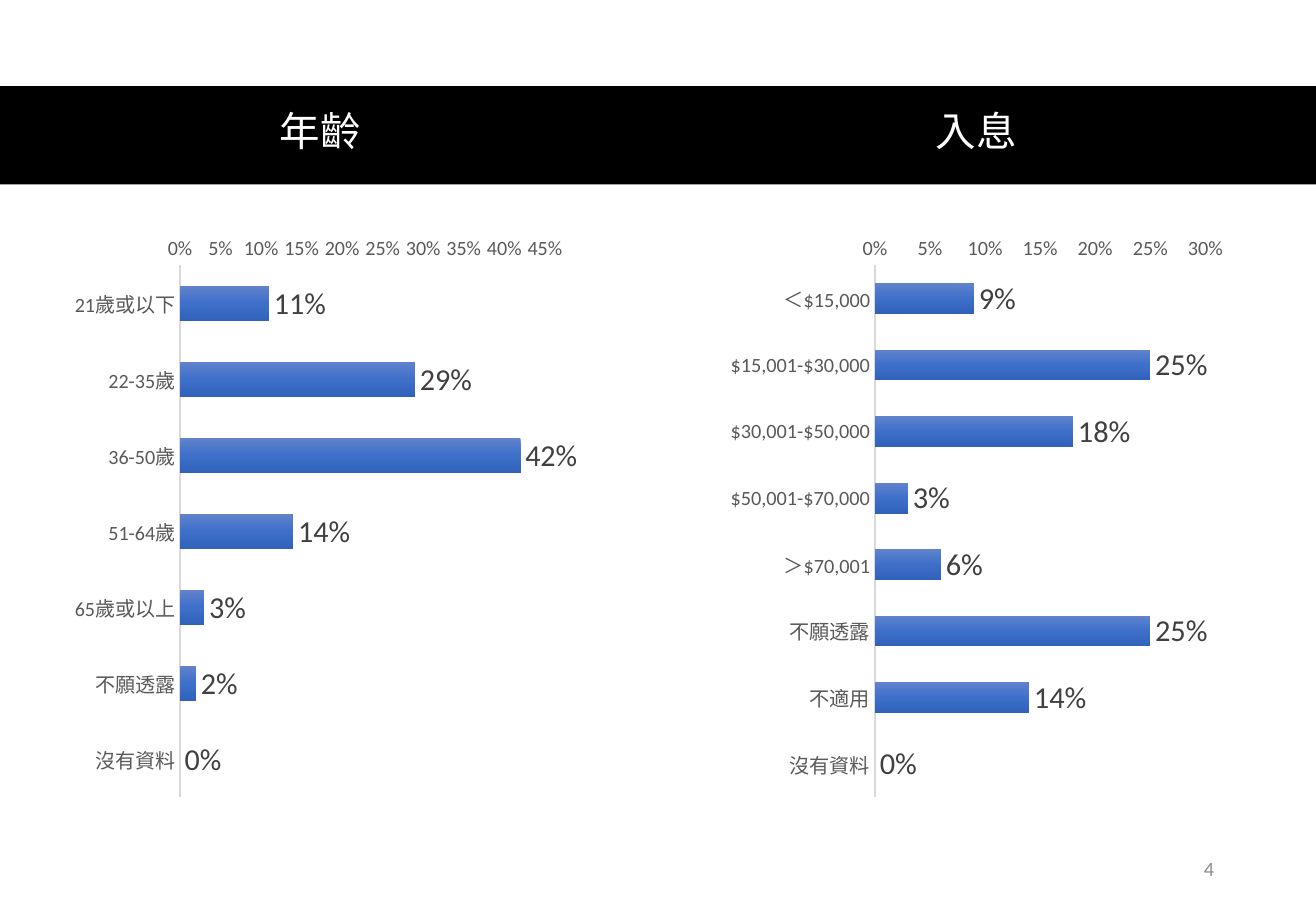
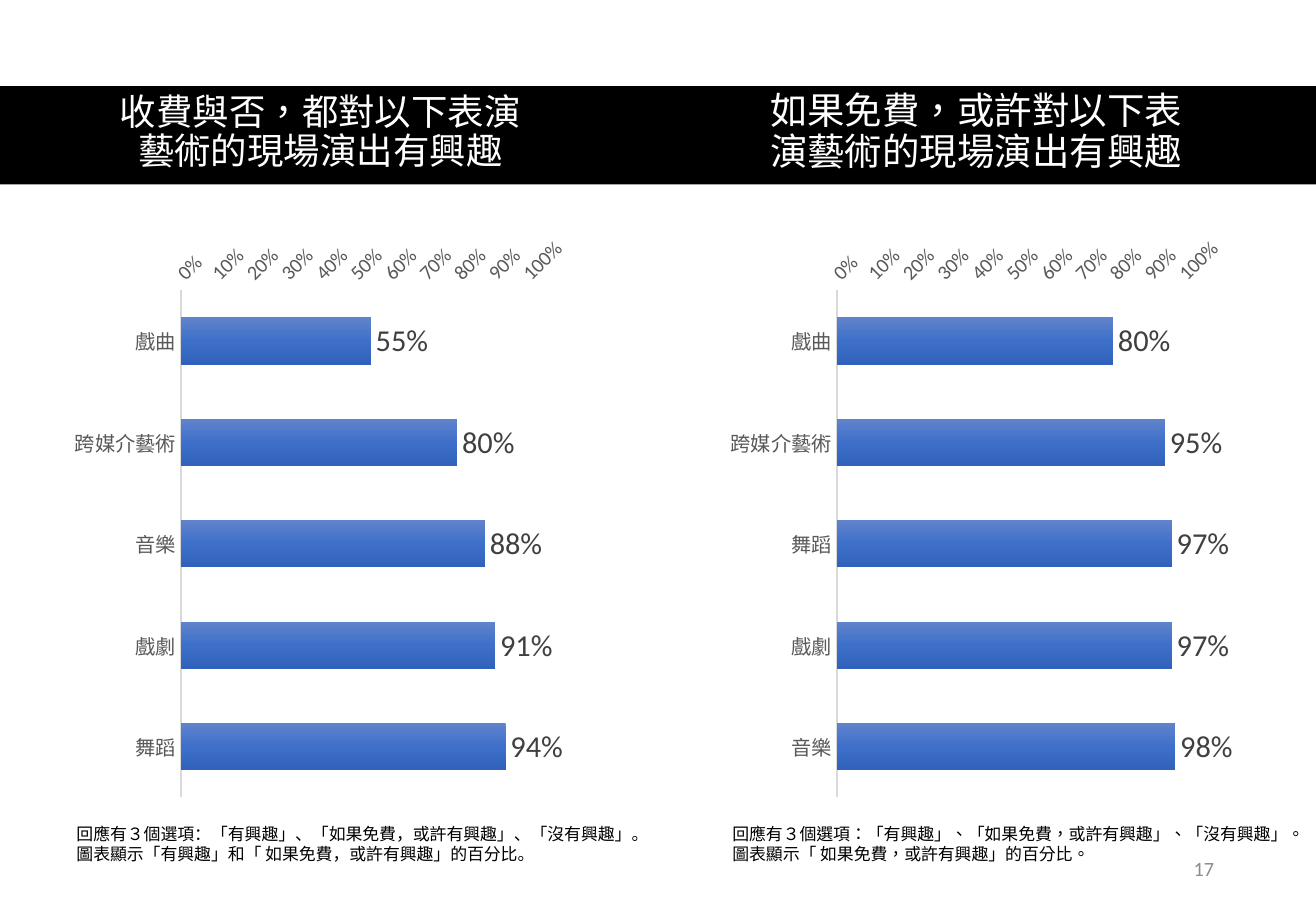
from copy import deepcopy

from pptx import Presentation
from pptx.chart.data import CategoryChartData
from pptx.dml.color import RGBColor
from pptx.enum.chart import XL_CHART_TYPE as ChartType
from pptx.enum.chart import XL_LABEL_POSITION as LabelPosition
from pptx.enum.chart import XL_TICK_MARK as TickMark
from pptx.enum.lang import MSO_LANGUAGE_ID as Language
from pptx.enum.shapes import MSO_SHAPE as Shape
from pptx.enum.text import MSO_ANCHOR as Anchor
from pptx.enum.text import MSO_AUTO_SIZE as AutoSize
from pptx.enum.text import PP_ALIGN as Align
from pptx.oxml.ns import qn
from pptx.util import Cm, Pt

SLIDES = [
    {
        "number": "4",
        "axis_unit": 0.05,
        "axis_angle": 0,
        "panels": [
            {
                "heading": "年齡",
                "heading_size": 24,
                "axis_maximum": 0.45,
                "values": {
                    "21歲或以下": 0.11,
                    "22-35歲": 0.29,
                    "36-50歲": 0.42,
                    "51-64歲": 0.14,
                    "65歲或以上": 0.03,
                    "不願透露": 0.02,
                    "沒有資料": 0,
                },
            },
            {
                "heading": "入息",
                "heading_size": 24,
                "axis_maximum": 0.3,
                "values": {
                    "＜$15,000": 0.09,
                    "$15,001-$30,000": 0.25,
                    "$30,001-$50,000": 0.18,
                    "$50,001-$70,000": 0.03,
                    "＞$70,001": 0.06,
                    "不願透露": 0.25,
                    "不適用": 0.14,
                    "沒有資料": 0,
                },
            },
        ],
    },
    {
        "number": "17",
        "axis_unit": 0.1,
        "axis_angle": -45,
        "panels": [
            {
                "heading": "收費與否，都對以下表演藝術的現場演出有興趣",
                "heading_size": 21.6,
                "axis_maximum": 1,
                "values": {"戲曲": 0.55, "跨媒介藝術": 0.8, "音樂": 0.88, "戲劇": 0.91, "舞蹈": 0.94},
                "note": "圖表顯示「有興趣」和「 如果免費，或許有興趣」的百分比。",
                "note_language": Language.SIMPLIFIED_CHINESE,
            },
            {
                "heading": "如果免費，或許對以下表演藝術的現場演出有興趣",
                "heading_size": 22.2,
                "axis_maximum": 1,
                "values": {"戲曲": 0.8, "跨媒介藝術": 0.95, "舞蹈": 0.97, "戲劇": 0.97, "音樂": 0.98},
                "note": "圖表顯示「 如果免費，或許有興趣」的百分比。",
                "note_language": Language.TRADITIONAL_CHINESE,
            },
        ],
    },
]
NOTE_INTRO = "回應有３個選項：「有興趣」、「如果免費，或許有興趣」、「沒有興趣」。"

SLIDE_WIDTH, SLIDE_HEIGHT = 27.51, 19.05
PANEL_LEFT, PANEL_STEP = 1.35, 13.71
HEADING_OFFSET = 0.62
BAND_BOX = (0, 1.8, SLIDE_WIDTH, 2.06)
NUMBER_BOX = (19.43, 17.65, 6.2, 1.02)
BAR_GRADIENT = [(0, "6183CB"), (0.5, "3E70CA"), (1, "3062BB")]

HEADING_FONT = {"name": "Arial", "color": "FFFFFF", "bold": False, "language_id": Language.TRADITIONAL_CHINESE}
NOTE_FONT = {"name": "Noto Sans CJK SC", "size": Pt(10), "color": "000000"}
NUMBER_FONT = {"name": "Calibri", "size": Pt(12), "color": "8C8C8C"}
CHART_FONT = {"name": "Calibri", "size": Pt(10), "color": "000000"}
AXIS_FONT = {"name": "Calibri", "size": Pt(12), "color": "595959"}
LABEL_FONT = {"name": "Calibri", "size": Pt(18), "color": "404040"}
HEADING_FRAME = {"word_wrap": True, "auto_size": AutoSize.NONE, "vertical_anchor": Anchor.MIDDLE}
NOTE_FRAME = {"word_wrap": False, "auto_size": AutoSize.SHAPE_TO_FIT_TEXT}
HEADING_PARAGRAPH = {"alignment": Align.CENTER, "line_spacing": 0.9}

CATEGORY_AXIS = {
    "reverse_order": True,
    "has_major_gridlines": False,
    "major_tick_mark": TickMark.NONE,
    "minor_tick_mark": TickMark.NONE,
}
VALUE_AXIS = {
    "minimum_scale": 0,
    "has_major_gridlines": False,
    "major_tick_mark": TickMark.NONE,
    "minor_tick_mark": TickMark.NONE,
}
DATA_LABELS = {
    "show_value": True,
    "number_format": "0%",
    "number_format_is_linked": False,
    "position": LabelPosition.OUTSIDE_END,
}


def color(value):
    return RGBColor.from_string(value)


def box(*lengths):
    return [Cm(length) for length in lengths]


def apply(target, formats):
    for name, value in formats.items():
        if name == "color":
            target.color.rgb = color(value)
        else:
            setattr(target, name, value)


def write(shape, lines, font, frame, paragraph_format):
    text_frame = shape.text_frame
    text_frame.text = "\n".join(lines)
    apply(text_frame, frame)
    for paragraph in text_frame.paragraphs:
        apply(paragraph, paragraph_format)
        for run in paragraph.runs:
            apply(run.font, font)


def set_east_asian_font(shape, name):
    for paragraph in shape.text_frame.paragraphs:
        for run in paragraph.runs:
            properties = run.font._element
            latin = properties.find(qn("a:latin"))
            east_asian = properties.makeelement(qn("a:ea"), {"typeface": name})
            latin.addnext(east_asian)


def fill_bars(series):
    fill = series.format.fill
    fill.gradient()
    fill.gradient_angle = 270
    stop_list = series._element.find(".//" + qn("a:gsLst"))
    stop_list.insert(1, deepcopy(stop_list[0]))
    for stop, (position, value) in zip(fill.gradient_stops, BAR_GRADIENT):
        stop.position = position
        stop.color.rgb = color(value)


def add_bar_chart(slide, panel, left, unit, angle):
    data = CategoryChartData(number_format="0%")
    data.categories = list(panel["values"])
    data.add_series("Series 1", list(panel["values"].values()))
    chart = slide.shapes.add_chart(ChartType.BAR_CLUSTERED, *box(left, 4.7, 10.72, 12.22), data).chart
    apply(chart, {"has_legend": False, "has_title": False})
    apply(chart.font, CHART_FONT)

    plot = chart.plots[0]
    apply(plot, {"gap_width": 115, "overlap": -20, "vary_by_categories": False, "has_data_labels": True})
    apply(plot.data_labels, DATA_LABELS)
    apply(plot.data_labels.font, LABEL_FONT)
    fill_bars(plot.series[0])

    category_axis, value_axis = chart.category_axis, chart.value_axis
    apply(category_axis, CATEGORY_AXIS)
    apply(value_axis, VALUE_AXIS | {"maximum_scale": panel["axis_maximum"], "major_unit": unit})
    for axis in (category_axis, value_axis):
        apply(axis.tick_labels.font, AXIS_FONT)
    apply(value_axis.tick_labels, {"number_format": "0%", "number_format_is_linked": False})
    apply(category_axis.format.line, {"color": "D9D9D9", "width": Pt(1)})
    value_axis.format.line.fill.background()
    body = value_axis._element.find(".//" + qn("a:bodyPr"))
    body.set("rot", str(angle * 60000))
    body.set("vert", "horz")


def add_band(slide):
    band = slide.shapes.add_shape(Shape.RECTANGLE, *box(*BAND_BOX))
    band.shadow.inherit = False
    band.fill.solid()
    band.fill.fore_color.rgb = color("000000")
    band.line.fill.background()
    slide.shapes._spTree.insert(2, band._element)


def add_panel(slide, index, panel, unit, angle):
    left = PANEL_LEFT + index * PANEL_STEP
    heading_box = box(left + HEADING_OFFSET, 1.75, 9.45, 2.06)
    if index == 0:
        heading = slide.shapes.title
        apply(heading, dict(zip(("left", "top", "width", "height"), heading_box)))
    else:
        heading = slide.shapes.add_textbox(*heading_box)
    heading_font = HEADING_FONT | {"size": Pt(panel["heading_size"])}
    write(heading, [panel["heading"]], heading_font, HEADING_FRAME, HEADING_PARAGRAPH)
    add_bar_chart(slide, panel, left, unit, angle)
    if "note" in panel:
        note = slide.shapes.add_textbox(*box(left, 17.09, 12.62, 1.12))
        note_font = NOTE_FONT | {"language_id": panel["note_language"]}
        write(note, [NOTE_INTRO, panel["note"]], note_font, NOTE_FRAME, {})
        set_east_asian_font(note, NOTE_FONT["name"])


def main():
    presentation = Presentation()
    presentation.slide_width, presentation.slide_height = box(SLIDE_WIDTH, SLIDE_HEIGHT)
    for content in SLIDES:
        slide = presentation.slides.add_slide(presentation.slide_layouts[5])
        add_band(slide)
        for index, panel in enumerate(content["panels"]):
            add_panel(slide, index, panel, content["axis_unit"], content["axis_angle"])
        number = slide.shapes.add_textbox(*box(*NUMBER_BOX))
        write(number, [content["number"]], NUMBER_FONT, HEADING_FRAME, {"alignment": Align.RIGHT})
    presentation.save("out.pptx")


if __name__ == "__main__":
    main()
